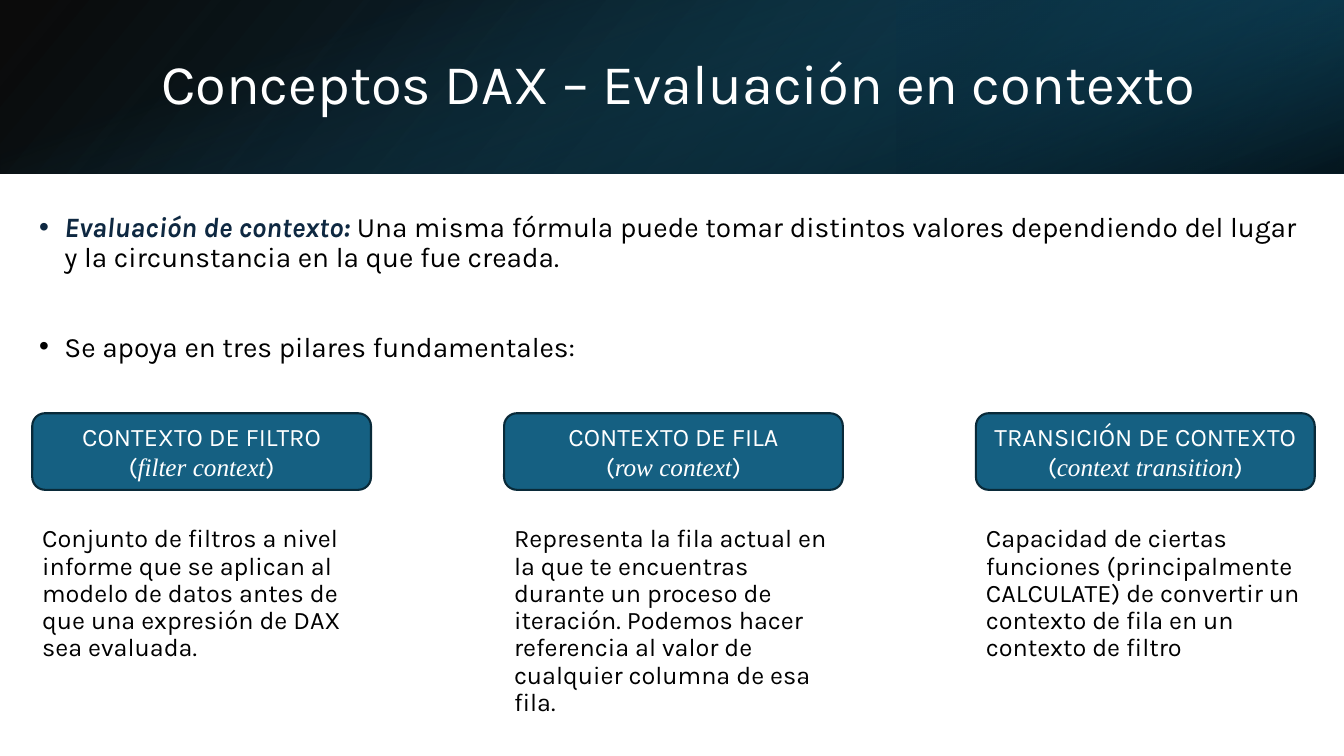
from lxml.etree import SubElement
from pptx import Presentation
from pptx.dml.color import RGBColor
from pptx.enum.shapes import MSO_SHAPE
from pptx.enum.text import MSO_ANCHOR, PP_ALIGN
from pptx.oxml.ns import qn
from pptx.util import Inches, Pt

BLACK = RGBColor(0x00, 0x00, 0x00)
WHITE = RGBColor(0xFF, 0xFF, 0xFF)
NAVY = RGBColor(0x0E, 0x28, 0x41)
TEAL = RGBColor(0x15, 0x60, 0x82)
MID_TEAL = RGBColor(0x10, 0x48, 0x62)
DEEP_TEAL = RGBColor(0x0B, 0x30, 0x41)
OUTLINE = RGBColor(0x09, 0x2A, 0x39)

WIDTH, HEIGHT, HEADER = 13.33, 7.5, 1.72
PILLAR_LEFT, PILLAR_STEP, PILLAR_WIDTH = 0.32, 4.68, 3.36
PILLARS = [
    ("CONTEXTO DE FILTRO", "filter context",
     "Conjunto de filtros a nivel informe que se aplican al modelo de datos "
     "antes de que una expresión de DAX sea evaluada."),
    ("CONTEXTO DE FILA", "row context",
     "Representa la fila actual en la que te encuentras durante un proceso de "
     "iteración. Podemos hacer referencia al valor de cualquier columna de esa fila."),
    ("TRANSICIÓN DE CONTEXTO", "context transition",
     "Capacidad de ciertas funciones (principalmente CALCULATE) de convertir un "
     "contexto de fila en un contexto de filtro"),
]


class ContextSlide:
    """Holds the text style and the slide, and draws each kind of element."""

    font = "Karla"
    accent_font = "Times New Roman"

    def __init__(self, slide):
        self.slide = slide

    def style(self, run, size, color, font=None, bold=False, italic=False):
        run.font.name = font or self.font
        run.font.size = Pt(size)
        run.font.color.rgb = color
        run.font.bold = bold
        run.font.italic = italic

    def phrase(self, paragraph, words, *look, **emphasis):
        run = paragraph.add_run()
        run.text = words
        self.style(run, *look, **emphasis)

    def gradient(self, box, stops, angle, rotation=0, flip=False):
        band = self.slide.shapes.add_shape(MSO_SHAPE.RECTANGLE, *map(Inches, box))
        band.shadow.inherit = False
        band.line.fill.background()
        band.rotation = rotation
        if flip:
            band.element.spPr.find(qn("a:xfrm")).set("flipH", "1")
        band.fill.gradient()
        band.fill.gradient_angle = 360 - angle
        for stop, (position, color, opacity) in zip(band.fill.gradient_stops, stops):
            stop.position = position / 100
            stop.color.rgb = color
        tints = band.element.spPr.iter(qn("a:srgbClr"))
        for tint, (position, color, opacity) in zip(tints, stops):
            SubElement(tint, qn("a:alpha")).set("val", str(opacity * 1000))

    def text_frame(self, box, anchor=MSO_ANCHOR.TOP):
        frame = self.slide.shapes.add_textbox(*map(Inches, box)).text_frame
        frame.word_wrap = True
        frame.vertical_anchor = anchor
        return frame

    def text(self, box, words, size, color, anchor=MSO_ANCHOR.TOP):
        frame = self.text_frame(box, anchor)
        frame.text = words
        frame.paragraphs[0].line_spacing = 0.9
        self.style(frame.paragraphs[0].runs[0], size, color)

    def bullets(self, box, points, gap):
        frame = self.text_frame(box, MSO_ANCHOR.MIDDLE)
        for index, (lead, statement) in enumerate(points):
            point = frame.add_paragraph() if index else frame.paragraphs[0]
            point.line_spacing = 0.9
            point.space_before = Pt(gap if index else 10)
            margins = point._p.get_or_add_pPr()
            margins.set("marL", str(Inches(0.25)))
            margins.set("indent", str(-Inches(0.25)))
            SubElement(margins, qn("a:buFont")).set("typeface", "Arial")
            SubElement(margins, qn("a:buChar")).set("char", "•")
            if lead:
                self.phrase(point, lead, 20, NAVY, bold=True, italic=True)
            self.phrase(point, statement, 20, BLACK)

    def label(self, box, name, english):
        plate = self.slide.shapes.add_shape(MSO_SHAPE.ROUNDED_RECTANGLE, *map(Inches, box))
        plate.shadow.inherit = False
        plate.fill.solid()
        plate.fill.fore_color.rgb = TEAL
        plate.line.color.rgb = OUTLINE
        plate.line.width = Pt(1.5)
        frame = plate.text_frame
        frame.word_wrap = True
        frame.vertical_anchor = MSO_ANCHOR.MIDDLE
        heading, translation = frame.paragraphs[0], frame.add_paragraph()
        heading.alignment = translation.alignment = PP_ALIGN.CENTER
        self.phrase(heading, name, 18, WHITE)
        self.phrase(translation, "(", 18, WHITE)
        self.phrase(translation, english, 18, WHITE, self.accent_font, italic=True)
        self.phrase(translation, ")", 18, WHITE)


def main():
    deck = Presentation()
    deck.slide_width, deck.slide_height = Inches(WIDTH), Inches(HEIGHT)
    page = ContextSlide(deck.slides.add_slide(deck.slide_layouts[6]))

    page.gradient((0, 0, WIDTH, HEADER), [(0, BLACK, 96), (100, MID_TEAL, 100)],
                  140, flip=True)
    page.gradient((8.89, 0, 4.44, HEADER), [(19, DEEP_TEAL, 68), (100, TEAL, 79)],
                  320, rotation=180, flip=True)
    offset = (WIDTH - HEADER) / 2
    page.gradient((offset, -offset, HEADER, WIDTH), [(23, TEAL, 0), (99, BLACK, 74)],
                  340, rotation=90)
    page.text((1.5, 0.38, 10.98, 0.96), "Conceptos DAX – Evaluación en contexto",
              40, WHITE, MSO_ANCHOR.MIDDLE)

    page.bullets((0.29, 1.8, 12.73, 2.12), [
        ("Evaluación de contexto: ",
         "Una misma fórmula puede tomar distintos valores dependiendo del lugar "
         "y la circunstancia en la que fue creada."),
        ("", "Se apoya en tres pilares fundamentales:"),
    ], gap=42)

    for index, (name, english, meaning) in enumerate(PILLARS):
        left = PILLAR_LEFT + index * PILLAR_STEP
        page.label((left, 4.1, PILLAR_WIDTH, 0.76), name, english)
        page.text((left, 5.17, PILLAR_WIDTH, 1.72), meaning, 18, BLACK)

    deck.save("out.pptx")


if __name__ == "__main__":
    main()
